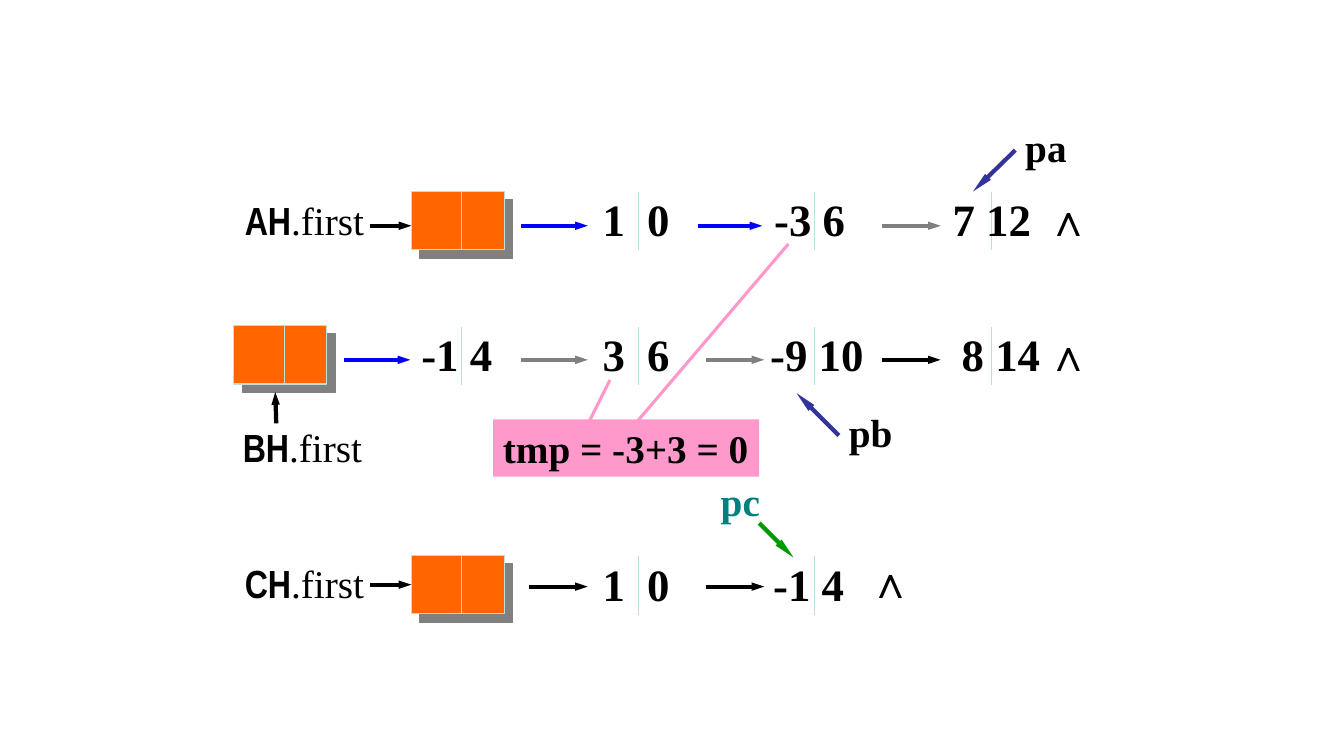
import pptx
import pptx.util
import pptx.dml.color
import pptx.enum.shapes
import pptx.enum.text
import pptx.oxml.ns
import lxml.etree
from pptx.util import Inches

SERIF = "Times New Roman"
NARROW = "Arial Narrow"
BLACK, GREY, BLUE, INDIGO = "000000", "808080", "0000FF", "333399"
GREEN, TEAL, PINK, ORANGE, PALE = "009900", "008080", "FF99CC", "FF6600", "BBE0E3"
NODE_HEIGHT = 0.58
# Divider position of each node column
COLUMNS = [4.58 + 1.75 * i for i in range(4)]


def rgb(hex_colour):
    return pptx.dml.color.RGBColor.from_string(hex_colour)


def add_xml(parent, tag, **attributes):
    return lxml.etree.SubElement(parent, pptx.oxml.ns.qn(tag), attributes)


def add_line(slide, start, end, colour, width, head=None):
    """Straight line; head is the arrowhead length, or None for no arrowhead."""
    line = slide.shapes.add_connector(
        pptx.enum.shapes.MSO_CONNECTOR.STRAIGHT, *[Inches(v) for v in (*start, *end)])
    line.line.color.rgb = rgb(colour)
    line.line.width = pptx.util.Pt(width)
    properties = line._element.spPr
    if head:
        add_xml(properties.find(pptx.oxml.ns.qn("a:ln")), "a:tailEnd",
                type="triangle", w="sm", len=head)
    add_xml(properties, "a:effectLst")
    return line


def add_arrow(slide, start, end, colour=BLACK, head="med"):
    return add_line(slide, start, end, colour, 3, head)


def add_divider(slide, x, top):
    add_line(slide, (x, top), (x, top + NODE_HEIGHT), PALE, 0.75)


def write(frame, runs, size, colour=BLACK, tab=None):
    """Put (text, font, bold) runs into one unwrapped paragraph."""
    frame.word_wrap = False
    paragraph = frame.paragraphs[0]
    paragraph.alignment = pptx.enum.text.PP_ALIGN.LEFT
    if tab:
        tabs = add_xml(paragraph._p.get_or_add_pPr(), "a:tabLst")
        add_xml(tabs, "a:tab", pos=str(Inches(tab)), algn="l")
    for text, font, bold in runs:
        run = paragraph.add_run()
        run.text = text
        run.font.name = font
        run.font.size = pptx.util.Pt(size)
        run.font.bold = bold
        run.font.color.rgb = rgb(colour)


def add_text(slide, left, top, width, height, runs, size, colour=BLACK, tab=None):
    box = slide.shapes.add_textbox(*[Inches(v) for v in (left, top, width, height)])
    write(box.text_frame, runs, size, colour, tab)


def add_term(slide, left, top, width, text):
    tab = 0.44 if "\t" in text else None
    add_text(slide, left, top, width, 0.63, [(text, SERIF, True)], 32, tab=tab)


def add_pointer_name(slide, left, top, width, text, colour=BLACK):
    add_text(slide, left, top, width, 0.57, [(text, SERIF, True)], 28, colour)


def add_list_name(slide, left, top, name):
    add_text(slide, left, top, 1.39, 0.57, [(name, NARROW, True), (".first", SERIF, False)], 28)


def add_rectangle(slide, left, top, width, height, fill):
    rectangle = slide.shapes.add_shape(
        pptx.enum.shapes.MSO_SHAPE.RECTANGLE, *[Inches(v) for v in (left, top, width, height)])
    rectangle.shadow.inherit = False
    rectangle.fill.solid()
    rectangle.fill.fore_color.rgb = rgb(fill)
    rectangle.line.fill.background()
    return rectangle


def add_head_node(slide, left, top):
    """Orange two-part node with a solid grey offset shadow."""
    node = add_rectangle(slide, left, top, 0.92, NODE_HEIGHT, ORANGE)
    node.line.color.rgb = rgb(PALE)
    node.line.width = pptx.util.Pt(0.75)
    effects = node._element.spPr.find(pptx.oxml.ns.qn("a:effectLst"))
    shadow = add_xml(effects, "a:outerShdw", dist=str(pptx.util.Pt(8.5)), dir="2700000",
                     algn="ctr", rotWithShape="0")
    add_xml(shadow, "a:srgbClr", val=GREY)
    add_divider(slide, left + 0.5, top)
    return node


def add_chain(slide, divider_top, columns, arrow_y, arrows, text_top, terms):
    """Dividers, links (from x, to x, colour) and terms (left, width, text) of one list."""
    for x in columns:
        add_divider(slide, x, divider_top)
    for start, end, colour in arrows:
        add_arrow(slide, (start, arrow_y), (end, arrow_y), colour)
    for left, width, text in terms:
        add_term(slide, left, text_top, width, text)


def main():
    deck = pptx.Presentation()
    deck.slide_width, deck.slide_height = Inches(13.33), Inches(7.5)
    slide = deck.slides.add_slide(deck.slide_layouts[6])

    # List AH
    add_head_node(slide, 4.08, 1.9)
    add_list_name(slide, 2.33, 1.9, "AH")
    add_chain(slide, 1.9, COLUMNS[1:], 2.24,
              [(3.67, 4.08, BLACK), (5.17, 5.83, BLUE), (6.92, 7.56, BLUE), (8.75, 9.33, GREY)],
              1.85, [(5.88, 0.9, "1\t0"), (7.58, 0.95, "-3 6"), (9.35, 1, "7 12"),
                     (10.28, 0.47, "∧")])

    # List BH
    add_head_node(slide, 2.32, 3.23)
    add_list_name(slide, 2.31, 4.15, "BH")
    add_arrow(slide, (2.74, 4.2), (2.73, 3.89))
    add_chain(slide, 3.24, COLUMNS, 3.57,
              [(3.41, 4.07, BLUE), (5.17, 5.83, GREY), (7, 7.58, GREY), (8.75, 9.33, BLACK)],
              3.19, [(4.08, 0.95, "-1 4"), (5.88, 0.9, "3\t6"), (7.54, 1.16, "-9 10"),
                     (9.44, 1, "8 14"), (10.28, 0.47, "∧")])

    # List CH
    result_head = add_head_node(slide, 4.08, 5.51)
    add_list_name(slide, 2.33, 5.5, "CH")
    add_arrow(slide, (3.67, 5.8), (4.08, 5.8)).end_connect(result_head, 1)
    add_chain(slide, 5.52, COLUMNS[1:3], 5.82, [(5.25, 5.83, BLACK), (7, 7.58, BLACK)],
              5.47, [(5.88, 0.9, "1\t0"), (7.57, 0.95, "-1 4")])
    add_term(slide, 8.52, 5.44, 0.47, "∧")

    # Pointers
    add_arrow(slide, (10.07, 1.49), (9.65, 1.9), INDIGO, "lg")
    add_pointer_name(slide, 10.07, 1.17, 0.61, "pa")
    add_arrow(slide, (8.32, 4.32), (7.9, 3.9), INDIGO, "lg")
    add_pointer_name(slide, 8.32, 4, 0.64, "pb")
    add_arrow(slide, (7.53, 5.19), (7.87, 5.53), GREEN, "lg")
    add_pointer_name(slide, 7.05, 4.69, 0.59, "pc", TEAL)

    # Sum of the two coefficients
    coefficient_sum = add_rectangle(slide, 4.89, 4.16, 2.64, 0.57, PINK)
    write(coefficient_sum.text_frame, [("tmp = -3+3 = 0", SERIF, True)], 28)
    add_line(slide, (5.84, 4.19), (6.05, 3.77), PINK, 2.25)
    add_line(slide, (6.33, 4.17), (7.82, 2.42), PINK, 2.25)

    deck.save("out.pptx")


if __name__ == "__main__":
    main()
